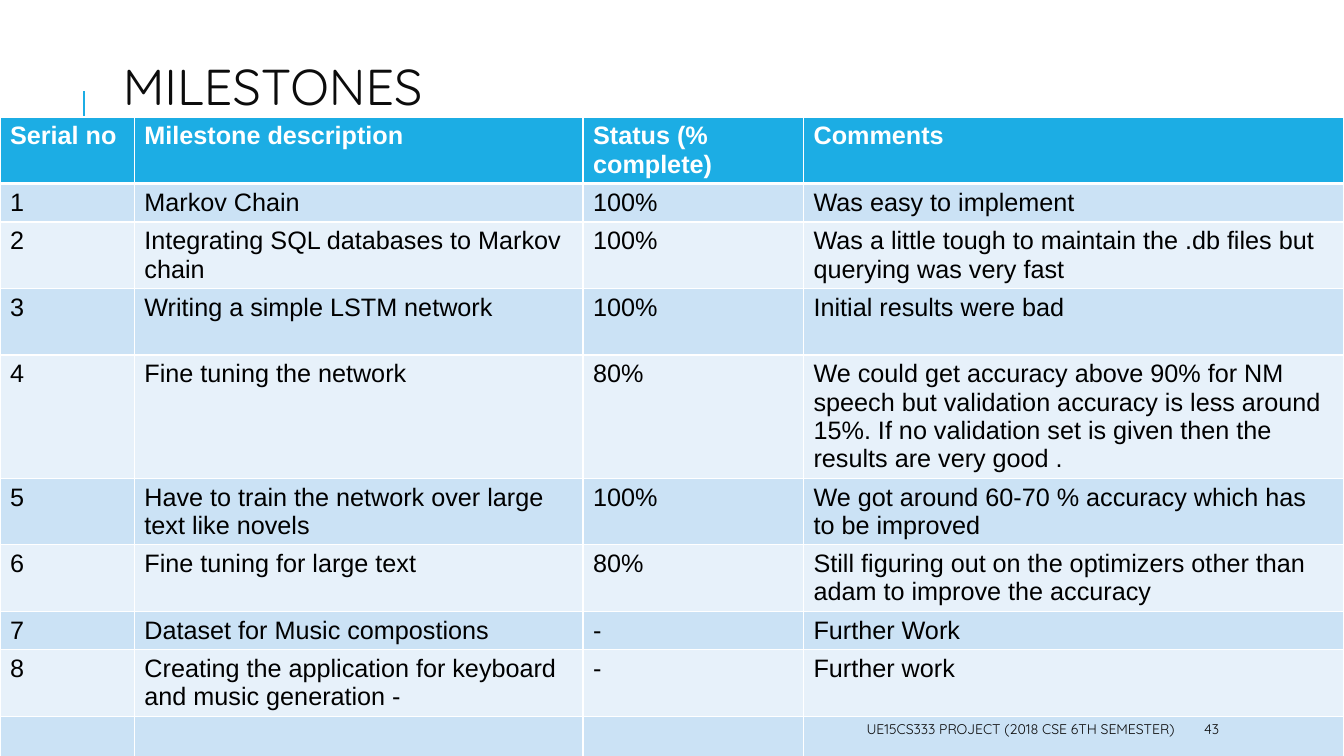
from lxml.etree import SubElement
from pptx import Presentation
from pptx.dml.color import RGBColor
from pptx.enum.shapes import MSO_CONNECTOR
from pptx.enum.text import MSO_ANCHOR, MSO_AUTO_SIZE, PP_ALIGN
from pptx.oxml.ns import qn
from pptx.util import Pt

BLUE = RGBColor(0x1C, 0xAD, 0xE4)
BANDS = [RGBColor(0xCB, 0xE2, 0xF5), RGBColor(0xE7, 0xF1, 0xFA)]
INK = RGBColor(0x0C, 0x0C, 0x0C)
BLACK = RGBColor(0, 0, 0)
WHITE = RGBColor(0xFF, 0xFF, 0xFF)

WIDTHS = [96, 320.5, 157.5, 386]
ONE, TWO, FOUR = 27.5, 47.5, 88
ROWS = [
    (TWO, "Serial no", "Milestone description", "Status (% complete)", "Comments"),
    (ONE, "1", "Markov Chain", "100%", "Was easy to implement"),
    (TWO, "2", "Integrating SQL databases to Markov chain", "100%",
     "Was a little tough to maintain the .db files but querying was very fast"),
    (TWO, "3", "Writing a simple LSTM network", "100%", "Initial results were bad"),
    (FOUR, "4", "Fine tuning the network", "80%",
     "We could get accuracy above 90% for NM speech but validation accuracy is "
     "less around 15%. If no validation set is given then the results are very good ."),
    (TWO, "5", "Have to train the network over large text like novels", "100%",
     "We got around 60-70 % accuracy which has to be improved"),
    (TWO, "6", "Fine tuning for large text", "80%",
     "Still figuring out on the optimizers other than adam to improve the accuracy"),
    (ONE, "7", "Dataset for Music compostions", "-", "Further Work"),
    (TWO, "8", "Creating the application for keyboard and music generation -", "-",
     "Further work"),
    (ONE, "", "", "", ""),
]


def assign(item, values):
    for name, value in values.items():
        setattr(item, name, value)


def place(shape, left, top, width, height):
    assign(shape, {"left": Pt(left), "top": Pt(top),
                   "width": Pt(width), "height": Pt(height)})


def write(frame, text, size, face, color, bold=False, align=PP_ALIGN.LEFT):
    para = frame.paragraphs[0]
    para.alignment = align
    run = para.add_run()
    run.text = text
    assign(run.font, {"size": Pt(size), "name": face, "bold": bold})
    run.font.color.rgb = color
    return para


def add_title(slide, text):
    title = slide.shapes.title
    place(title, 80.5, 46, 839.5, 37.5)
    assign(title.text_frame, {"vertical_anchor": MSO_ANCHOR.MIDDLE, "word_wrap": True,
                              "auto_size": MSO_AUTO_SIZE.NONE})
    write(title.text_frame, text, 36, "Quicksand", INK).line_spacing = 0.8


def add_rule(slide, x, top, bottom):
    rule = slide.shapes.add_connector(
        MSO_CONNECTOR.STRAIGHT, Pt(x), Pt(bottom), Pt(x), Pt(top))
    rule.line.color.rgb = BLUE
    rule.line.width = Pt(1.5)
    SubElement(rule._element.spPr, qn("a:effectLst"))


def add_note(slide, text, left, width, align):
    box = slide.shapes.add_textbox(Pt(left), Pt(510), Pt(width), Pt(21.5))
    assign(box.text_frame, {"vertical_anchor": MSO_ANCHOR.MIDDLE, "word_wrap": True})
    write(box.text_frame, text, 10, "Quicksand", INK, align=align)


def add_edges(cell, top, bottom):
    props = cell._tc.get_or_add_tcPr()
    for side, width in (("L", 1), ("R", 1), ("T", top), ("B", bottom)):
        edge = SubElement(props, qn(f"a:ln{side}"), w=str(Pt(width)))
        fill = SubElement(edge, qn("a:solidFill"))
        SubElement(fill, qn("a:srgbClr"), val=str(WHITE))


def add_grid(slide):
    high = sum(row[0] for row in ROWS)
    grid = slide.shapes.add_table(
        len(ROWS), len(WIDTHS), 0, Pt(83.5), Pt(sum(WIDTHS)), Pt(high)).table
    for column, width in zip(grid.columns, WIDTHS):
        column.width = Pt(width)
    for r, (height, *texts) in enumerate(ROWS):
        grid.rows[r].height = Pt(height)
        head = r == 0
        for c, text in enumerate(texts):
            cell = grid.cell(r, c)
            add_edges(cell, 3 if r == 1 else 1, 3 if head else 1)
            cell.fill.solid()
            cell.fill.fore_color.rgb = BLUE if head else BANDS[(r - 1) % 2]
            if text:
                write(cell.text_frame, text, 18, "Arial",
                      WHITE if head else BLACK, bold=head)


def main():
    deck = Presentation()
    assign(deck, {"slide_width": Pt(960), "slide_height": Pt(540)})
    slide = deck.slides.add_slide(deck.slide_layouts[5])
    add_rule(slide, 60, 65, 137)
    add_title(slide, "MILESTONES")
    add_grid(slide)
    add_note(slide, "UE15CS333 PROJECT (2018 CSE 6TH SEMESTER)", 381.5, 464.5,
             PP_ALIGN.RIGHT)
    add_note(slide, "43", 853, 76.5, PP_ALIGN.LEFT)
    deck.save("out.pptx")


if __name__ == "__main__":
    main()
